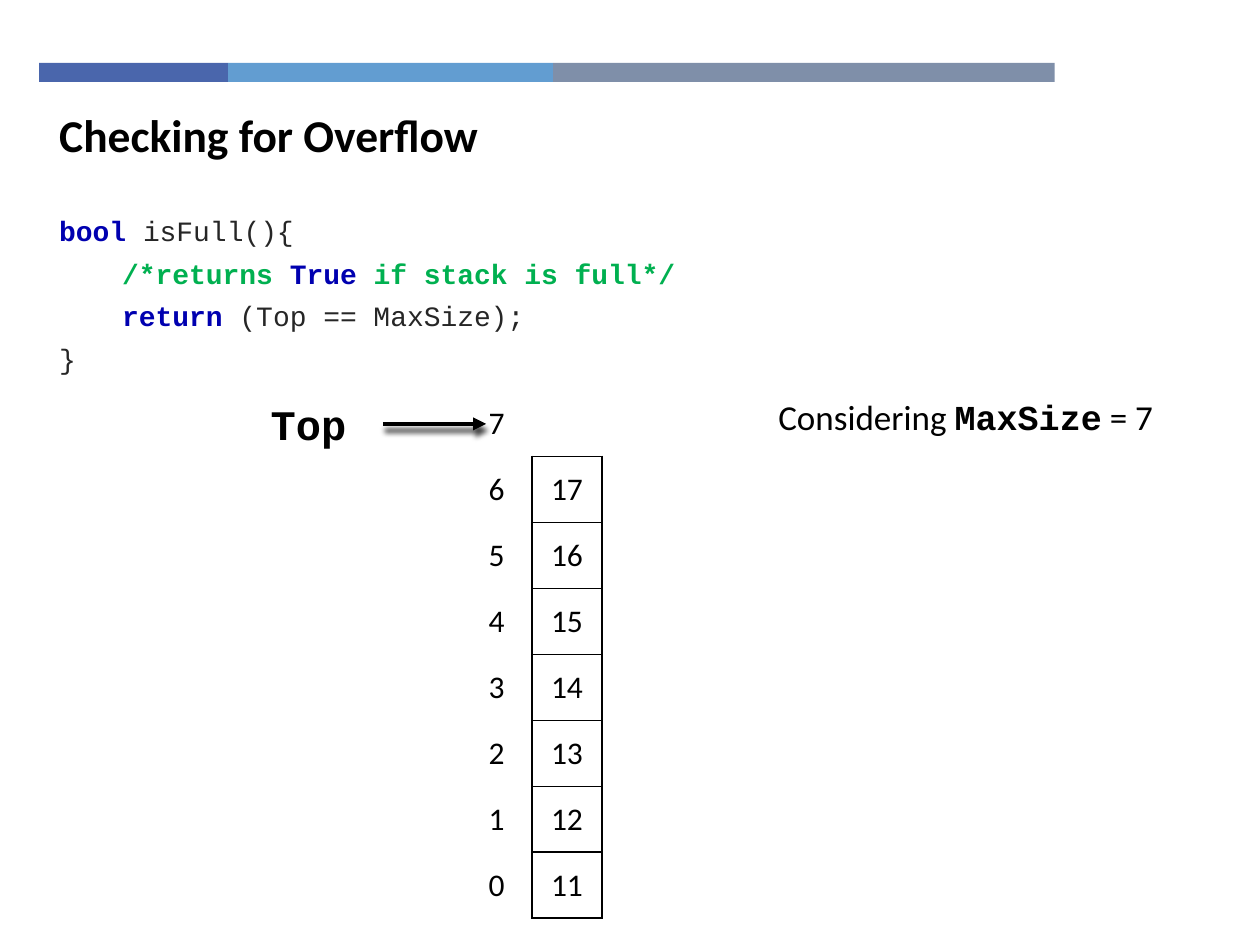
from lxml import etree
from pptx import Presentation
from pptx.dml.color import RGBColor
from pptx.enum.shapes import MSO_CONNECTOR, MSO_SHAPE
from pptx.enum.text import MSO_ANCHOR, MSO_AUTO_SIZE, PP_ALIGN
from pptx.oxml import parse_xml
from pptx.oxml.ns import qn
from pptx.util import Cm, Pt

RECT = MSO_SHAPE.RECTANGLE
LINE = MSO_CONNECTOR.STRAIGHT
TOP, MID = MSO_ANCHOR.TOP, MSO_ANCHOR.MIDDLE
LEFT, CENTER, JUST = PP_ALIGN.LEFT, PP_ALIGN.CENTER, PP_ALIGN.JUSTIFY
FIXED = MSO_AUTO_SIZE.NONE
GROW = MSO_AUTO_SIZE.SHAPE_TO_FIT_TEXT
SANS, MONO = "Calibri", "Courier New"
BLACK, WHITE, DARK = "000000", "FFFFFF", "262626"
BLUE, GREEN = "0000B0", "00B050"
NS = "http://schemas.openxmlformats.org/drawingml/2006/main"

BARS = [(3.81, "4A66AC"), (6.55, "629DD1"), (10.11, "7F8FA9")]
TITLE = "Checking for Overflow"
CODE = [
    [("bool ", BLUE, True), ("isFull(){", DARK, False)],
    [("\t/*returns ", GREEN, True), ("True ", BLUE, True),
     ("if stack is full*/", GREEN, True)],
    [("\treturn", BLUE, True), (" (Top == MaxSize);", DARK, False)],
    [("}", DARK, False)],
]
NOTE = [("Considering ", SANS, False), ("MaxSize", MONO, True),
        (" = 7", SANS, False)]
STACK = ["", "17", "16", "15", "14", "13", "12", "11"]


def rgb(code):
    return RGBColor.from_string(code)


def add_run(para, text, size, font=SANS, color=BLACK, bold=False):
    run = para.add_run()
    run.text = text
    run.font.size = Pt(size)
    run.font.name = font
    run.font.bold = bold
    run.font.color.rgb = rgb(color)


def place(shape, left, top, width, height):
    shape.left, shape.top = Cm(left), Cm(top)
    shape.width, shape.height = Cm(width), Cm(height)


def add_box(left, top, width, height, color):
    box = slide.shapes.add_shape(
        RECT, Cm(left), Cm(top), Cm(width), Cm(height))
    box.shadow.inherit = False
    box.fill.solid()
    box.fill.fore_color.rgb = rgb(color)
    box.line.fill.background()
    return box


def add_edge(cell, side):
    edge = parse_xml(
        f'<a:{side} xmlns:a="{NS}" w="12700"><a:solidFill>'
        f'<a:srgbClr val="{BLACK}"/></a:solidFill></a:{side}>')
    props = cell._tc.get_or_add_tcPr()
    count = len([kid for kid in props if kid.tag.startswith(qn("a:ln"))])
    props.insert(count, edge)


prs = Presentation()
prs.slide_width, prs.slide_height = Cm(25.4), Cm(19.05)
slide = prs.slides.add_slide(prs.slide_layouts[1])

left = 0.79
for width, color in BARS:
    add_box(left, 1.27, width, 0.38, color)
    left += width

title = slide.shapes.title
place(title, 0.94, 2.03, 18.19, 1.37)
frame = title.text_frame
frame.auto_size = FIXED
frame.vertical_anchor = TOP
para = frame.paragraphs[0]
para.alignment = LEFT
para.space_before = Pt(20)
add_run(para, TITLE, 26, bold=True)

body = slide.placeholders[1]
place(body, 0.94, 4.29, 16.74, 4.24)
frame = body.text_frame
frame.auto_size = FIXED
for row, parts in enumerate(CODE):
    para = frame.add_paragraph() if row else frame.paragraphs[0]
    para.alignment = JUST
    para.line_spacing = 0.85
    para.space_before = para.space_after = Pt(4)
    props = para._p.get_or_add_pPr()
    props.set("marL", "0")
    props.set("indent", "0")
    etree.SubElement(props, qn("a:buNone"))
    for text, color, bold in parts:
        add_run(para, text, 16, MONO, color, bold)

count = len(STACK)
wide, high = 1.42, 1.33
table = slide.shapes.add_table(
    count, 2, Cm(9.3), Cm(7.87), Cm(2 * wide), Cm(count * high)).table
table.first_row = table.horz_banding = False
for col in table.columns:
    col.width = Cm(wide)
for row, value in enumerate(STACK):
    table.rows[row].height = Cm(high)
    for col, text in enumerate((str(count - 1 - row), value)):
        cell = table.cell(row, col)
        cell.fill.background()
        cell.vertical_anchor = MID
        para = cell.text_frame.paragraphs[0]
        para.alignment = CENTER
        if text:
            add_run(para, text, 18)
    if value:
        add_edge(table.cell(row, 0), "lnR")
        for side in ("lnL", "lnR", "lnT", "lnB"):
            add_edge(table.cell(row, 1), side)
    else:
        add_edge(table.cell(row, 1), "lnB")

label = add_box(4.72, 8, 3, 1.09, WHITE)
label.text_frame.vertical_anchor = MID
para = label.text_frame.paragraphs[0]
para.alignment = CENTER
add_run(para, "Top", 24, MONO, bold=True)

mid = label.top + label.height // 2
arrow = slide.shapes.add_connector(LINE, Cm(7.72), mid, Cm(9.8), mid)
arrow.begin_connect(label, 3)
arrow.line.width = Pt(2.5)
arrow.line.color.rgb = rgb(BLACK)
etree.SubElement(
    arrow.line._get_or_add_ln(), qn("a:tailEnd"), type="triangle")
arrow._element.spPr.append(parse_xml(
    f'<a:effectLst xmlns:a="{NS}">'
    '<a:outerShdw blurRad="38100" dist="50800" dir="4200000">'
    f'<a:srgbClr val="{BLACK}"><a:alpha val="75000"/></a:srgbClr>'
    '</a:outerShdw></a:effectLst>'))

note = slide.shapes.add_textbox(Cm(15.44), Cm(7.85), Cm(9.02), Cm(1.12))
note.text_frame.word_wrap = True
note.text_frame.auto_size = GROW
for text, font, bold in NOTE:
    add_run(note.text_frame.paragraphs[0], text, 20, font, bold=bold)

prs.save("out.pptx")
